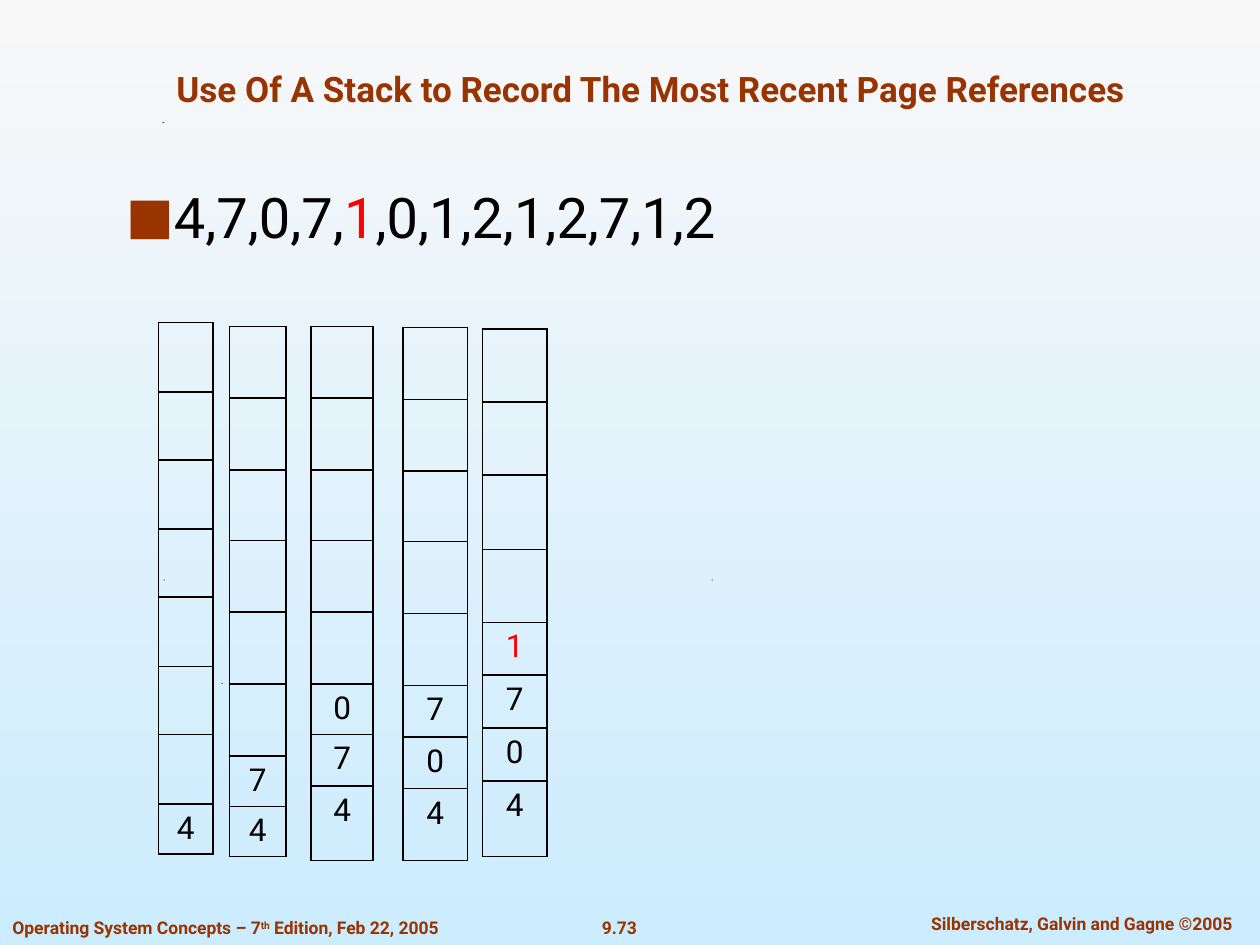
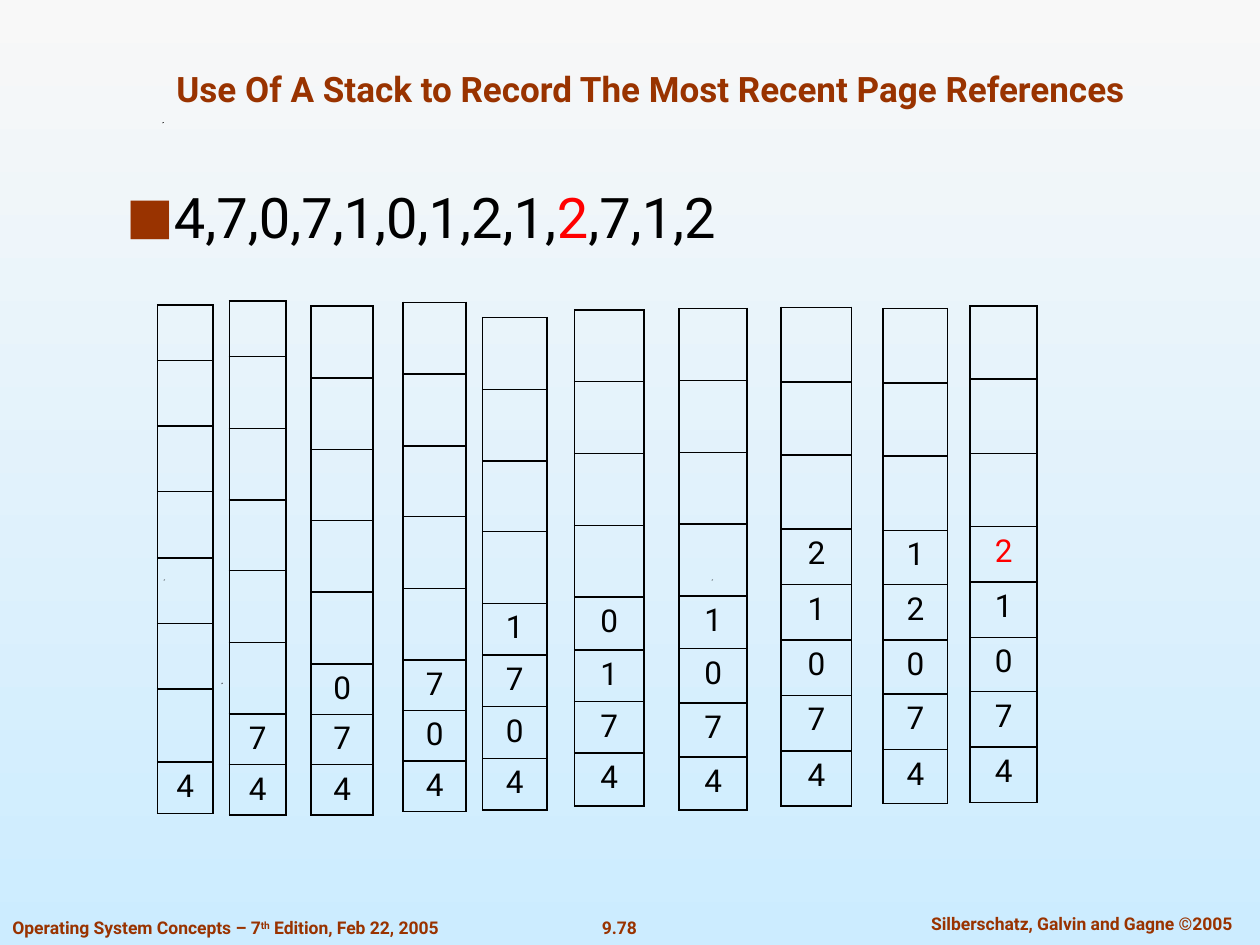
from lxml import etree
from pptx import Presentation
from pptx import util as u
from pptx.dml.color import RGBColor
from pptx.enum import text
from pptx.oxml import ns

PX = 9144
FONT = "Roboto"
BROWN = RGBColor(0x99, 0x33, 0x00)
BLACK = RGBColor(0, 0, 0)
RED = RGBColor(0xFF, 0, 0)
SKY_TOP = RGBColor(0xF8, 0xF8, 0xF8)
SKY_BOTTOM = RGBColor(0xCC, 0xEC, 0xFF)

TITLE = "Use Of A Stack to Record The Most Recent Page References"
EDITION = [("Operating System Concepts – 7", 0), ("th", 30000), (" Edition, Feb 22, 2005", 0)]
AUTHORS = [("Silberschatz, Galvin and Gagne ©2005", 0)]
SPECKS = [(176, 542), (130, 460), (565, 460), (129, 97)]

# Each stack: left, top, width, bands of (row count, total height), digits from top.
SLIDES = [
    {
        "number": "9.73",
        "references": ("4,7,0,7,", "1", ",0,1,2,1,2,7,1,2"),
        "stacks": [
            (126, 256, 43, [(7, 382), (1, 40)], "4"),
            (182, 259, 45, [(6, 341), (2, 80)], "74"),
            (247, 259, 49, [(5, 284), (2, 81), (1, 59)], "074"),
            (320, 260, 51, [(5, 284), (2, 82), (1, 57)], "704"),
            (383, 261, 51, [(4, 233), (3, 126), (1, 60)], "1704"),
        ],
    },
    {
        "number": "9.78",
        "references": ("4,7,0,7,1,0,1,2,1,", "2", ",7,1,2"),
        "stacks": [
            (125, 242, 44, [(1, 44), (5, 261), (1, 58), (1, 41)], "4"),
            (182, 239, 45, [(1, 44), (5, 284), (2, 80)], "74"),
            (247, 243, 49, [(5, 284), (3, 120)], "074"),
            (320, 240, 50, [(5, 284), (3, 120)], "704"),
            (383, 252, 51, [(4, 227), (4, 164)], "1704"),
            (456, 246, 55, [(4, 228), (4, 166)], "0174"),
            (539, 245, 54, [(4, 228), (4, 170)], "1074"),
            (620, 244, 56, [(3, 176), (5, 220)], "21074"),
            (701, 245, 51, [(3, 176), (5, 217)], "12074"),
            (770, 243, 53, [(3, 175), (5, 219)], "21074"),
        ],
    },
]


def px(*lengths):
    return [u.Emu(length * PX) for length in lengths]


def add_run(paragraph, words, size, color, bold=False, baseline=0):
    run = paragraph.add_run()
    run.text = words
    run.font.name = FONT
    run.font.size = u.Pt(size)
    run.font.bold = bold
    run.font.color.rgb = color
    if baseline:
        run._r.get_or_add_rPr().set("baseline", str(baseline))


def add_element(parent, tag, **attributes):
    return etree.SubElement(parent, ns.qn(tag), attributes)


def place(shape, left, top, width, height):
    shape.left, shape.top, shape.width, shape.height = px(left, top, width, height)
    shape.text_frame.auto_size = text.MSO_AUTO_SIZE.NONE


def paint_background(master):
    fill = master.background.fill
    fill.gradient()
    fill.gradient_angle = 270
    for stop, color in zip(fill.gradient_stops, (SKY_TOP, SKY_BOTTOM)):
        stop.color.rgb = color


def add_footer(slide, box, pieces, alignment, wrap):
    shape = slide.shapes.add_textbox(*px(*box))
    shape.text_frame.word_wrap = wrap
    paragraph = shape.text_frame.paragraphs[0]
    paragraph.alignment = alignment
    for words, baseline in pieces:
        add_run(paragraph, words, 10, BROWN, True, baseline)


def add_speck(slide, left, top):
    builder = slide.shapes.build_freeform(left, top, scale=PX)
    builder.add_line_segments([(left + 1, top), (left, top + 1)], close=True)
    speck = builder.convert_to_shape()
    speck.shadow.inherit = False
    speck.fill.solid()
    speck.fill.fore_color.rgb = BLACK
    speck.line.fill.background()


def add_frame(slide, number):
    center = text.PP_ALIGN.CENTER
    add_footer(slide, (467, 723, 49, 27), [(number, 0)], center, False)
    add_footer(slide, (710, 720, 297, 27), AUTHORS, center, True)
    add_footer(slide, (0, 723, 378, 27), EDITION, text.PP_ALIGN.LEFT, False)
    for left, top in SPECKS:
        add_speck(slide, left, top)


def fill_title(title):
    place(title, 75, 25, 883, 67)
    title.text_frame.vertical_anchor = text.MSO_ANCHOR.BOTTOM
    paragraph = title.text_frame.paragraphs[0]
    paragraph.alignment = text.PP_ALIGN.CENTER
    add_run(paragraph, TITLE, 20, BROWN, True)


def fill_references(body, references):
    place(body, 90, 140, 804, 73)
    paragraph = body.text_frame.paragraphs[0]
    properties = paragraph._p.get_or_add_pPr()
    properties.set("marL", str(38 * PX))
    properties.set("indent", str(-38 * PX))
    color = add_element(properties, "a:buClr")
    add_element(color, "a:srgbClr", val=str(BROWN))
    add_element(properties, "a:buSzPct", val="90000")
    add_element(properties, "a:buFont", typeface=FONT)
    add_element(properties, "a:buChar", char="■")
    paragraph.space_before = u.Pt(0)
    for words, color in zip(references, (BLACK, RED, BLACK)):
        add_run(paragraph, words, 32, color)


def outline(cell):
    properties = cell._tc.get_or_add_tcPr()
    for side in ("L", "R", "T", "B"):
        line = add_element(properties, f"a:ln{side}", w=str(u.Pt(1)))
        color = add_element(add_element(line, "a:solidFill"), "a:srgbClr")
        color.set("val", str(BLACK))
    cell.fill.background()


def row_heights(bands):
    for count, total in bands:
        edges = [round(total * index / count) for index in range(count + 1)]
        yield from (lower - upper for upper, lower in zip(edges, edges[1:]))


def add_stack(slide, left, top, width, bands, digits, is_current):
    heights = list(row_heights(bands))
    box = px(left, top, width, sum(heights))
    table = slide.shapes.add_table(len(heights), 1, *box).table
    table.first_row = table.horz_banding = False
    first_filled = len(heights) - len(digits)
    for index, height in enumerate(heights):
        table.rows[index].height = u.Emu(height * PX)
        cell = table.cell(index, 0)
        outline(cell)
        if index >= first_filled:
            paragraph = cell.text_frame.paragraphs[0]
            paragraph.alignment = text.PP_ALIGN.CENTER
            color = RED if is_current and index == first_filled else BLACK
            add_run(paragraph, digits[index - first_filled], 18, color)


def main():
    presentation = Presentation()
    presentation.slide_width, presentation.slide_height = px(1000, 750)
    paint_background(presentation.slide_master)
    for content in SLIDES:
        slide = presentation.slides.add_slide(presentation.slide_layouts[1])
        add_frame(slide, content["number"])
        fill_title(slide.shapes.title)
        fill_references(slide.placeholders[1], content["references"])
        stacks = content["stacks"]
        for stack in stacks:
            add_stack(slide, *stack, is_current=stack is stacks[-1])
    presentation.save("out.pptx")


if __name__ == "__main__":
    main()
